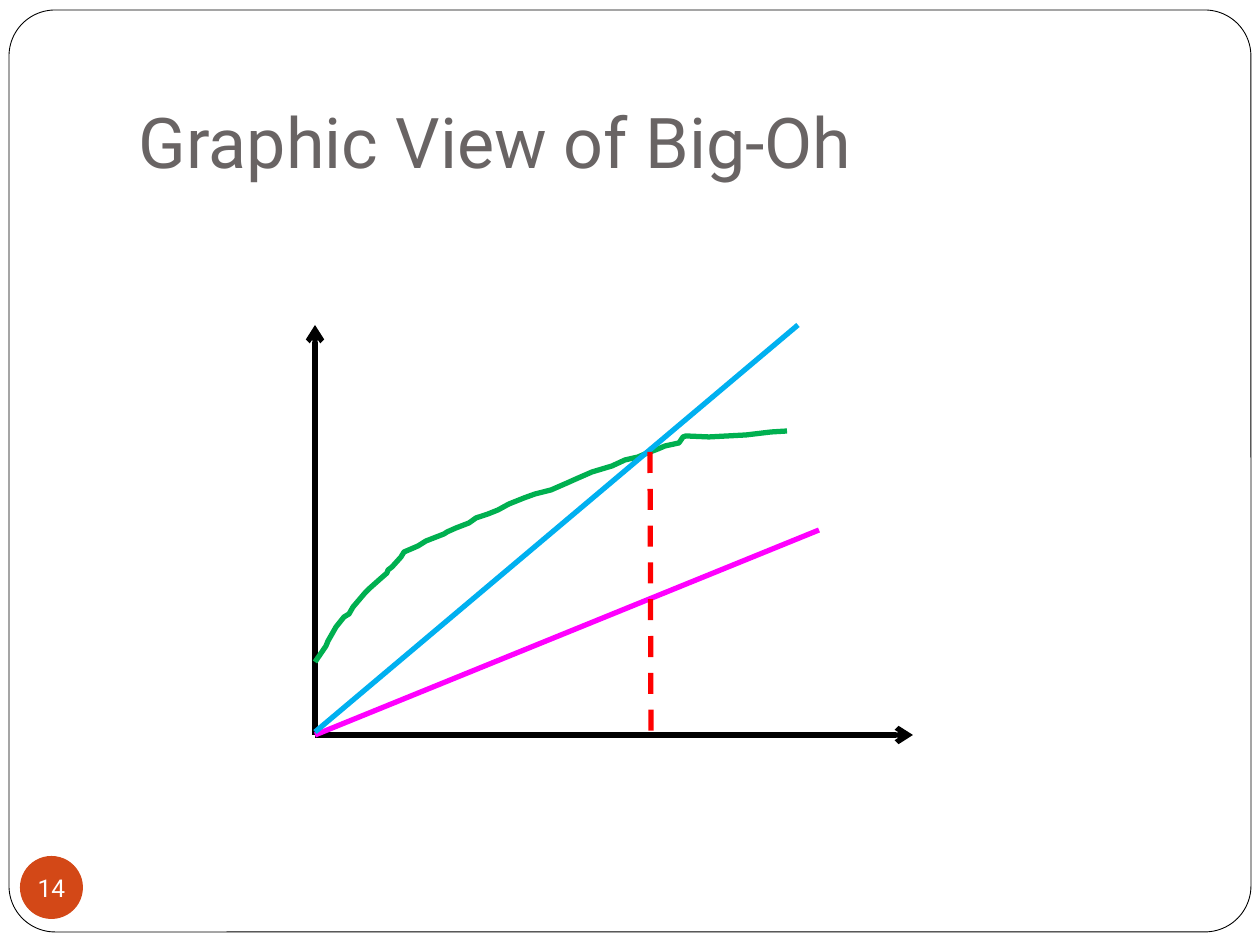
from lxml import etree
from pptx import Presentation
from pptx import util as u
from pptx.dml.color import RGBColor
from pptx.enum import dml, shapes, text
from pptx.oxml.ns import qn

PX = 914400 / 126  # EMU per px

BLACK = RGBColor(0x00, 0x00, 0x00)
WHITE = RGBColor(0xFF, 0xFF, 0xFF)
GREY = RGBColor(0x69, 0x64, 0x64)
ORANGE = RGBColor(0xD3, 0x48, 0x17)
GREEN = RGBColor(0x00, 0xB0, 0x50)
MAGENTA = RGBColor(0xFF, 0x00, 0xFF)
BLUE = RGBColor(0x00, 0xB0, 0xF0)
RED = RGBColor(0xFF, 0x00, 0x00)
FONT = "Roboto"

# Running-time curve, px from the top left of the plot
CURVE = [
    (0, 337), (11, 321), (13, 316), (21, 302), (29, 292), (34, 289), (38, 282),
    (50, 268), (55, 263), (64, 255), (72, 248), (73, 245), (77, 242), (86, 232),
    (89, 227), (103, 221), (111, 216), (129, 209), (132, 207), (141, 203),
    (154, 198), (161, 193), (173, 189), (183, 185), (194, 179), (209, 173),
    (220, 169), (236, 165), (252, 158), (261, 154), (277, 147), (297, 141),
    (310, 135), (323, 132), (330, 129), (343, 124), (350, 121), (364, 118),
    (368, 112), (371, 111), (394, 112), (431, 110), (456, 107), (472, 106),
]


def emu(*lengths):
    return [u.Emu(round(length * PX)) for length in lengths]


def write(frame, words, size, color, align, anchor, margins):
    frame.vertical_anchor = anchor
    (frame.margin_left, frame.margin_top,
     frame.margin_right, frame.margin_bottom) = emu(*margins)
    paragraph = frame.paragraphs[0]
    paragraph.text = words
    paragraph.alignment = align
    paragraph.font.name = FONT
    paragraph.font.size = u.Pt(size)
    paragraph.font.color.rgb = color


def add_frame(slide, box):
    frame = slide.shapes.add_shape(shapes.MSO_SHAPE.ROUNDED_RECTANGLE, *emu(*box))
    frame.adjustments[0] = 0.05
    frame.shadow.inherit = False
    frame.fill.solid()
    frame.fill.fore_color.rgb = WHITE
    frame.line.color.rgb = BLACK
    frame.line.width = u.Pt(0.5)


def add_title(slide, box, words):
    title = slide.shapes.add_textbox(*emu(*box)).text_frame
    title.word_wrap = True
    write(title, words, 40, GREY, text.PP_ALIGN.LEFT,
          text.MSO_ANCHOR.BOTTOM, (13, 6, 13, 13))


def add_page_number(slide, box, number):
    badge = slide.shapes.add_shape(shapes.MSO_SHAPE.OVAL, *emu(*box))
    badge.shadow.inherit = False
    badge.fill.solid()
    badge.fill.fore_color.rgb = ORANGE
    badge.line.fill.background()
    badge.text_frame.word_wrap = False
    write(badge.text_frame, number, 14, WHITE, text.PP_ALIGN.CENTER,
          text.MSO_ANCHOR.MIDDLE, (0, 0, 0, 0))


def add_plot(slide, box):
    left, top, width, height = box

    def draw_line(start, end, color):
        line = slide.shapes.add_connector(
            shapes.MSO_CONNECTOR.STRAIGHT,
            *emu(left + start[0], top + start[1], left + end[0], top + end[1]))
        line.line.color.rgb = color
        line.line.width = u.Pt(3)
        etree.SubElement(line._element.spPr, qn("a:effectLst"))
        return line

    # Axes
    origin = (0, height)
    for tip in ((width, height), (0, 0)):
        axis = draw_line(origin, tip, BLACK)
        etree.SubElement(axis.line._get_or_add_ln(), qn("a:tailEnd"), type="arrow")

    # Running time
    points = [(left + x, top + y) for x, y in CURVE]
    builder = slide.shapes.build_freeform(*points[0], scale=PX)
    builder.add_line_segments(points[1:], close=False)
    curve = builder.convert_to_shape()
    curve.shadow.inherit = False
    curve.fill.background()
    curve.line.color.rgb = GREEN
    curve.line.width = u.Pt(3)

    # Linear bounds and the crossing point
    draw_line(origin, (504, 205), MAGENTA)
    draw_line((0, 407), (483, 0), BLUE)
    crossing = draw_line((335, 127), (336, 407), RED)
    crossing.line.dash_style = dml.MSO_LINE.DASH


def main():
    prs = Presentation()
    prs.slide_width, prs.slide_height = emu(1260, 945)
    slide = prs.slides.add_slide(prs.slide_layouts[6])
    add_frame(slide, (9, 10, 1242, 922))
    add_title(slide, (126, 38, 1071, 157), "Graphic View of Big-Oh")
    add_page_number(slide, (20, 856, 63, 63), "14")
    add_plot(slide, (315, 325, 598, 410))
    prs.save("out.pptx")


if __name__ == "__main__":
    main()
